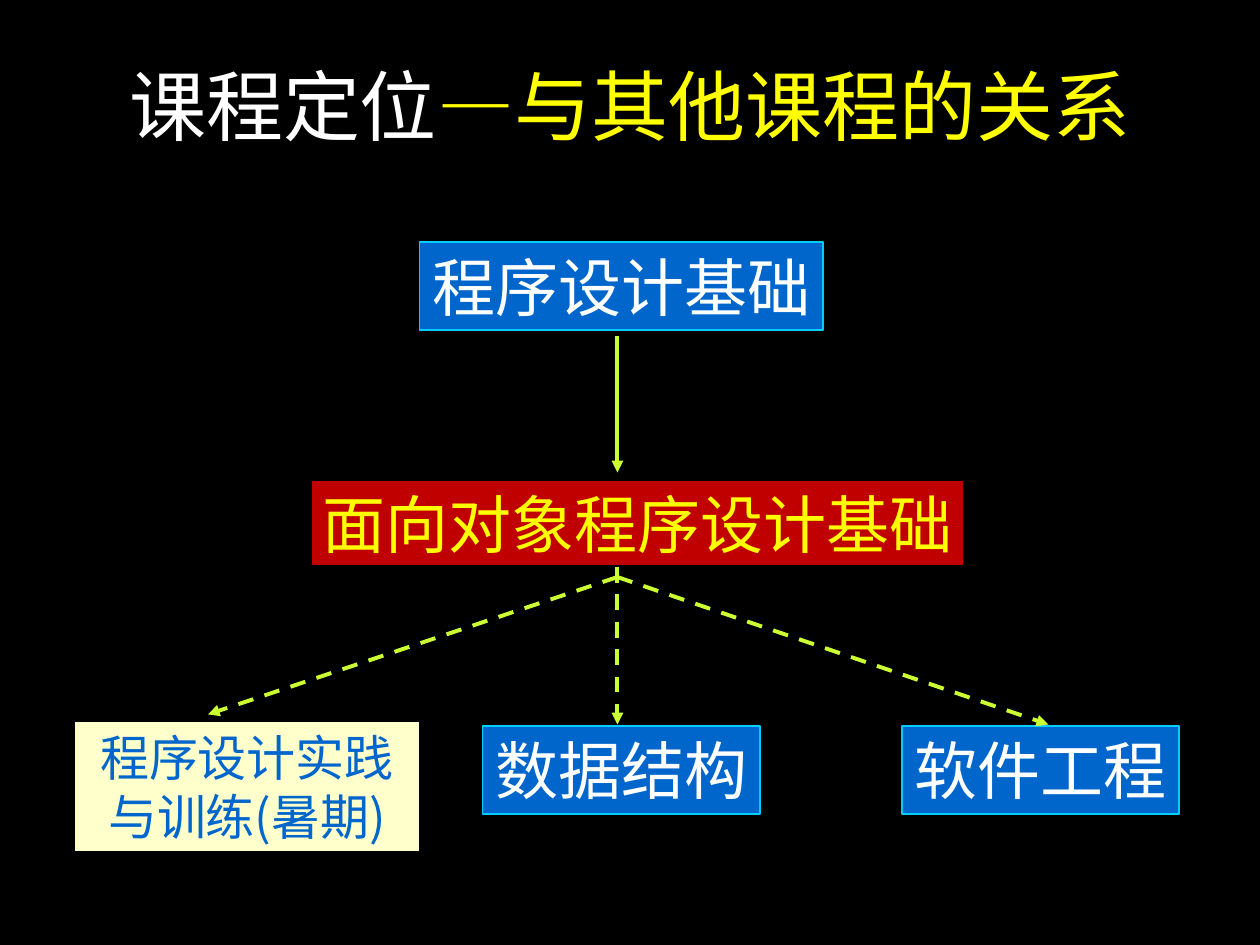
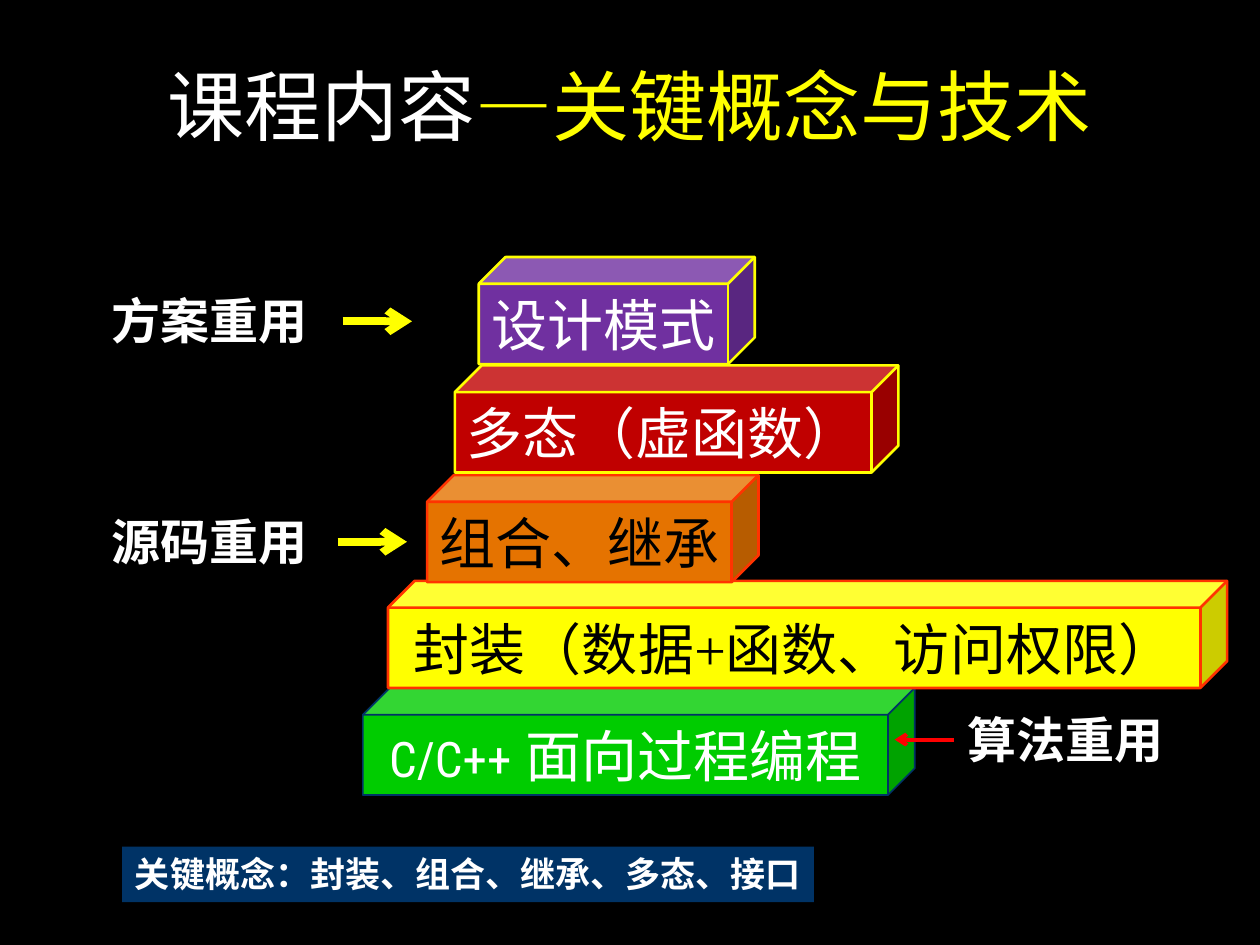
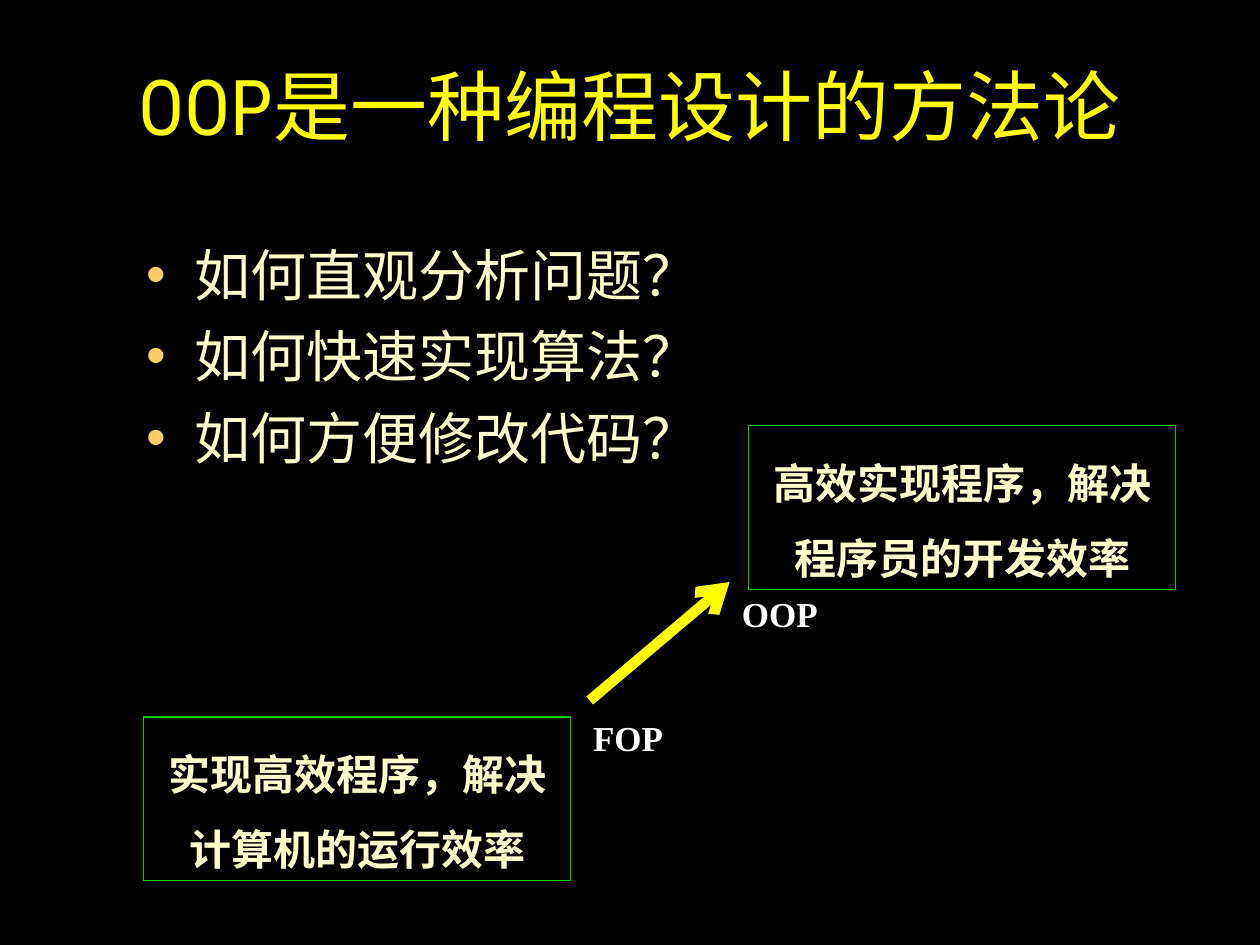
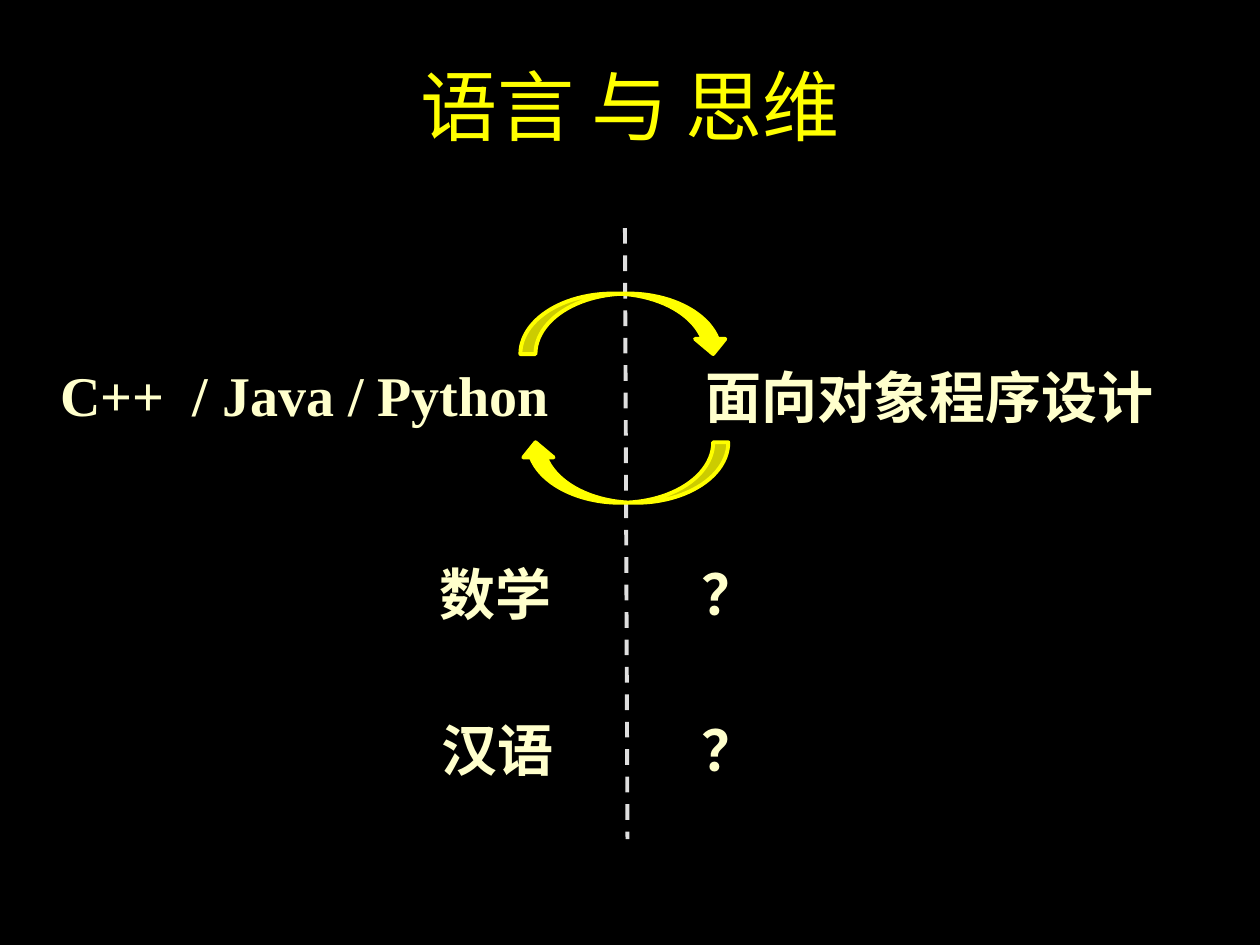
from lxml.etree import SubElement
from pptx import Presentation
from pptx.dml.color import RGBColor
from pptx.enum.dml import MSO_LINE
from pptx.enum.shapes import MSO_CONNECTOR, MSO_SHAPE as SHAPE
from pptx.enum.text import MSO_ANCHOR as ANCHOR, MSO_AUTO_SIZE as AUTO, PP_ALIGN as ALIGN
from pptx.oxml.ns import qn
from pptx.util import Inches, Pt

rgb = RGBColor.from_string

BLACK, WHITE, YELLOW, CREAM = "000000", "FFFFFF", "FFFF00", "FFFFCC"
BLUE, SKY, NAVY, RED = "0066CC", "00CCFF", "003366", "C00000"
LIME, GREEN, FLAME, AMBER = "CCFF33", "00CC00", "FF3300", "FFCC66"
SERIF, CONDENSED, SANS = "Times New Roman", "Roboto Condensed", "Noto Sans CJK SC"


def write(box, text, size=32, font=SERIF, color=WHITE, bold=False, align=ALIGN.CENTER,
          anchor=ANCHOR.TOP, wrap=False, spacing=None):
    frame = box.text_frame
    frame.word_wrap = wrap
    frame.auto_size = AUTO.NONE
    frame.vertical_anchor = anchor
    if align == ALIGN.CENTER and not wrap:
        frame.margin_left = frame.margin_right = 0
    para = frame.add_paragraph() if frame.text else frame.paragraphs[0]
    para.alignment = align
    if spacing:
        para.line_spacing = spacing
    for words, changes in [(text, {})] if isinstance(text, str) else text:
        look = {"size": size, "font": font, "color": color, **changes}
        span = para.add_run()
        span.text = words
        span.font.size = Pt(look["size"])
        span.font.name = look["font"]
        span.font.bold = bold
        span.font.color.rgb = rgb(look["color"])
        latin = span.font._element.find(qn("a:latin"))
        latin.addnext(latin.makeelement(qn("a:ea"), {"typeface": SANS}))
    return para


def draw_line(page, start, end, color, width=2.25, dashed=False, head=None):
    line = page.shapes.add_connector(MSO_CONNECTOR.STRAIGHT, *map(Inches, start + end))
    line.line.color.rgb = rgb(color)
    line.line.width = Pt(width)
    if dashed:
        line.line.dash_style = MSO_LINE.DASH
    if head:
        SubElement(line.line._get_or_add_ln(), qn("a:tailEnd"), type=head)
    SubElement(line._element.spPr, qn("a:effectLst"))


deck = Presentation()
deck.slide_width, deck.slide_height = Inches(10), Inches(7.5)
master = deck.slide_master
master.background.fill.solid()
master.background.fill.fore_color.rgb = rgb(BLACK)

TITLE_ONLY, TITLE_AND_BODY = deck.slide_layouts[5], deck.slide_layouts[1]
dash = ("—", {"font": SERIF})
titles = [
    (TITLE_ONLY, [("课程定位", {"color": WHITE}), dash, ("与其他课程的关系", {})]),
    (TITLE_ONLY, [("课程内容", {"color": WHITE}), dash, ("关键概念与技术", {})]),
    (TITLE_AND_BODY, "OOP是一种编程设计的方法论"),
    (TITLE_ONLY, "语言 与 思维"),
]
pages = []
for layout, heading in titles:
    page = deck.slides.add_slide(layout)
    title = page.shapes.title
    title.left, title.top, title.width, title.height = map(Inches, (0.75, 0, 8.5, 1.25))
    write(title, heading, size=44, font=CONDENSED, color=YELLOW, anchor=ANCHOR.BOTTOM, wrap=True)
    pages.append(page)
relations, contents, method, thinking = pages

courses = [
    ("面向对象程序设计基础", (2.46, 3.8, 5.2, 0.7), RED, BLACK, 2.25, YELLOW, 36, "Noto Sans CJK JP"),
    ("程序设计基础", (3.33, 1.92, 3.2, 0.7), BLUE, SKY, 1, WHITE, 36, SANS),
    ("数据结构", (3.83, 5.76, 2.2, 0.7), BLUE, SKY, 1, WHITE, 36, SANS),
    ("程序设计实践与训练(暑期)", (0.59, 5.72, 2.74, 1.04), CREAM, BLACK, 1, BLUE, 28, SANS),
    ("软件工程", (7.16, 5.76, 2.2, 0.7), BLUE, SKY, 1, WHITE, 36, SANS),
]
for name, place, fill, edge, width, color, size, font in courses:
    course = relations.shapes.add_shape(SHAPE.FLOWCHART_PROCESS, *map(Inches, place))
    course.shadow.inherit = False
    course.fill.solid()
    course.fill.fore_color.rgb = rgb(fill)
    course.line.color.rgb = rgb(edge)
    course.line.width = Pt(width)
    write(course, name, size=size, font=font, color=color, anchor=ANCHOR.MIDDLE, wrap=size == 28)

draw_line(relations, (4.9, 2.67), (4.9, 3.75), LIME, head="triangle")
for start, end in [((4.9, 4.5), (4.9, 5.75)), ((4.9, 4.58), (1.65, 5.67)), ((4.9, 4.58), (8.32, 5.75))]:
    draw_line(relations, start, end, LIME, dashed=True, head="triangle")

layers = [
    ([("C/C++", {"size": 28, "font": CONDENSED}), (" 面向过程编程", {})],
     2.88, 5.46, 4.38, GREEN, NAVY, 1, WHITE),
    ("封装（数据+函数、访问权限）", 3.08, 4.61, 6.66, YELLOW, FLAME, 1.5, BLACK),
    ("组合、继承", 3.39, 3.77, 2.63, "E57300", FLAME, 1.5, BLACK),
    ("多态（虚函数）", 3.61, 2.9, 3.52, RED, YELLOW, 1.5, WHITE),
    ("设计模式", 3.8, 2.04, 2.19, "7030A0", YELLOW, 1.5, WHITE),
]
for name, left, top, width, fill, edge, edge_width, color in layers:
    layer = contents.shapes.add_shape(SHAPE.CUBE, *map(Inches, (left, top, width, 0.85)))
    layer.shadow.inherit = False
    layer.fill.solid()
    layer.fill.fore_color.rgb = rgb(fill)
    layer.line.color.rgb = rgb(edge)
    layer.line.width = Pt(edge_width)
    write(layer, name, color=color, anchor=ANCHOR.MIDDLE)

for name, left, top in [("算法重用", 7.58, 5.58), ("源码重用", 0.79, 4.01), ("方案重用", 0.79, 2.26)]:
    label = contents.shapes.add_textbox(*map(Inches, (left, top, 1.75, 0.57)))
    write(label, name, size=28, bold=True)

draw_line(contents, (7.57, 5.87), (7.1, 5.87), "FF0000", head="arrow")
for left, top in [(2.72, 2.55), (2.68, 4.3)]:
    draw_line(contents, (left, top), (left + 0.55, top), YELLOW, width=4.5, head="arrow")

summary = contents.shapes.add_shape(SHAPE.RECTANGLE, *map(Inches, (0.97, 6.72, 5.49, 0.44)))
summary.shadow.inherit = False
summary.fill.solid()
summary.fill.fore_color.rgb = rgb(NAVY)
summary.line.fill.background()
write(summary, "关键概念：封装、组合、继承、多态、接口", size=20, bold=True)

questions = method.placeholders[1]
questions.left, questions.top, questions.width, questions.height = map(Inches, (1.06, 1.86, 8.5, 2.13))
for index, question in enumerate(["如何直观分析问题？", "如何快速实现算法？", "如何方便修改代码？"]):
    para = write(questions, question, color=CREAM, align=ALIGN.LEFT, wrap=True)
    para.space_before = Pt(8 if index else 0)
    props = para._p.get_or_add_pPr()
    props.set("marL", str(Inches(0.38)))
    props.set("indent", str(-Inches(0.38)))
    SubElement(SubElement(props, qn("a:buClr")), qn("a:srgbClr"), val=AMBER)
    SubElement(props, qn("a:buChar"), char="•")

for claim, left, top in [("高效实现程序，解决程序员的开发效率", 5.94, 3.38),
                         ("实现高效程序，解决计算机的运行效率", 1.14, 5.69)]:
    panel = method.shapes.add_shape(SHAPE.RECTANGLE, *map(Inches, (left, top, 3.39, 1.3)))
    panel.shadow.inherit = False
    panel.fill.background()
    panel.line.color.rgb = rgb(GREEN)
    panel.line.width = Pt(0.75)
    write(panel, claim, size=24, color=CREAM, bold=True, wrap=True, spacing=1.5)

draw_line(method, (4.68, 5.56), (5.79, 4.62), YELLOW, width=6, head="arrow")
for name, left, top, width in [("FOP", 4.61, 5.64, 0.75), ("OOP", 5.79, 4.65, 0.8)]:
    label = method.shapes.add_textbox(*map(Inches, (left, top, width, 0.44)))
    write(label, name, size=20, bold=True)

draw_line(thinking, (4.96, 1.81), (4.98, 6.66), "DFDFDF", dashed=True)
terms = [
    ("C++  / Java / Python", 0.38, 2.81, 4.08, ALIGN.CENTER, False),
    ("面向对象程序设计", 5.5, 2.83, 3.76, ALIGN.LEFT, False),
    ("数学", 1.87, 4.39, 2.61, ALIGN.RIGHT, True),
    ("？", 5.47, 4.39, 1.29, ALIGN.LEFT, True),
    ("汉语", 1.88, 5.63, 2.61, ALIGN.RIGHT, True),
    ("？", 5.47, 5.63, 1.29, ALIGN.LEFT, True),
]
for term, left, top, width, align, wrap in terms:
    label = thinking.shapes.add_textbox(*map(Inches, (left, top, width, 0.64)))
    write(label, term, color=CREAM, bold=True, align=align, wrap=wrap)

for top, turn in [(2.33, 0), (3.51, 180)]:
    arrow = thinking.shapes.add_shape(SHAPE.CURVED_DOWN_ARROW, *map(Inches, (4.13, top, 1.65, 0.48)))
    arrow.rotation = turn
    arrow.shadow.inherit = False
    arrow.fill.solid()
    arrow.fill.fore_color.rgb = rgb(YELLOW)
    arrow.line.color.rgb = rgb(YELLOW)
    arrow.line.width = Pt(2.25)

deck.save("out.pptx")
